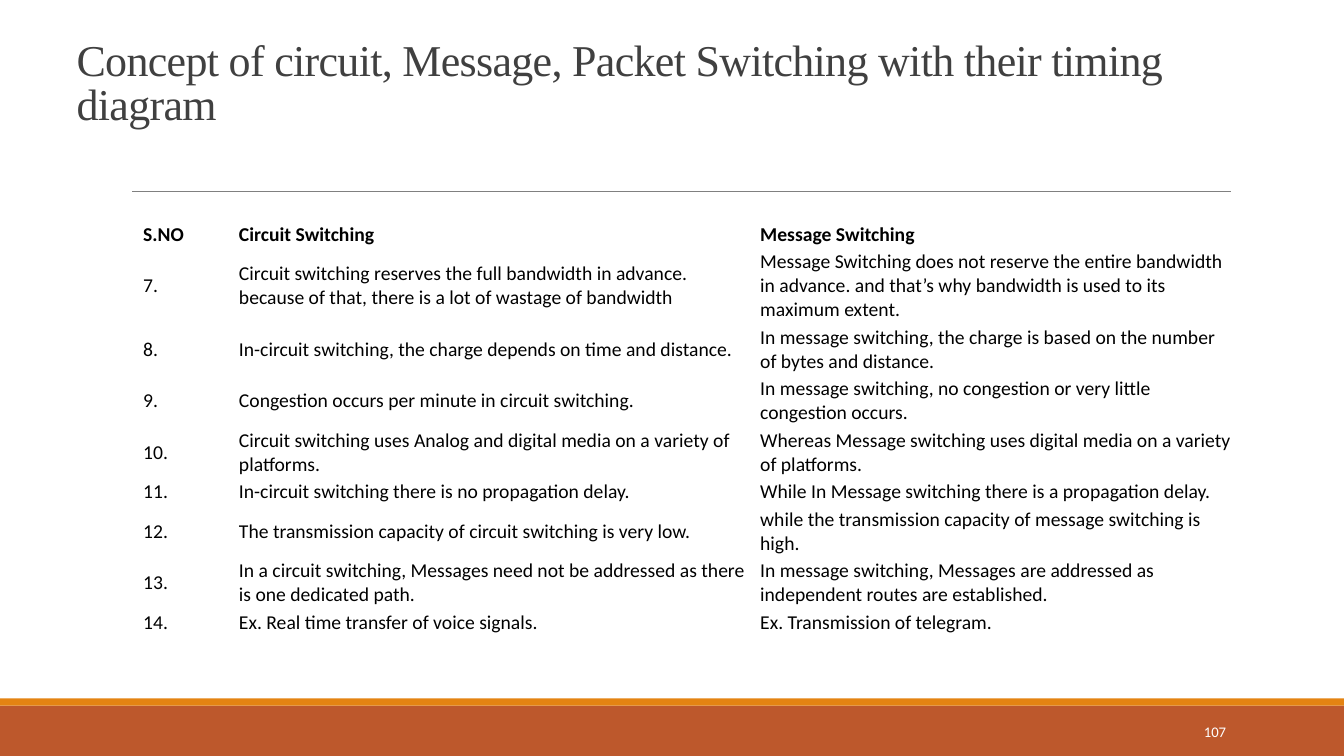
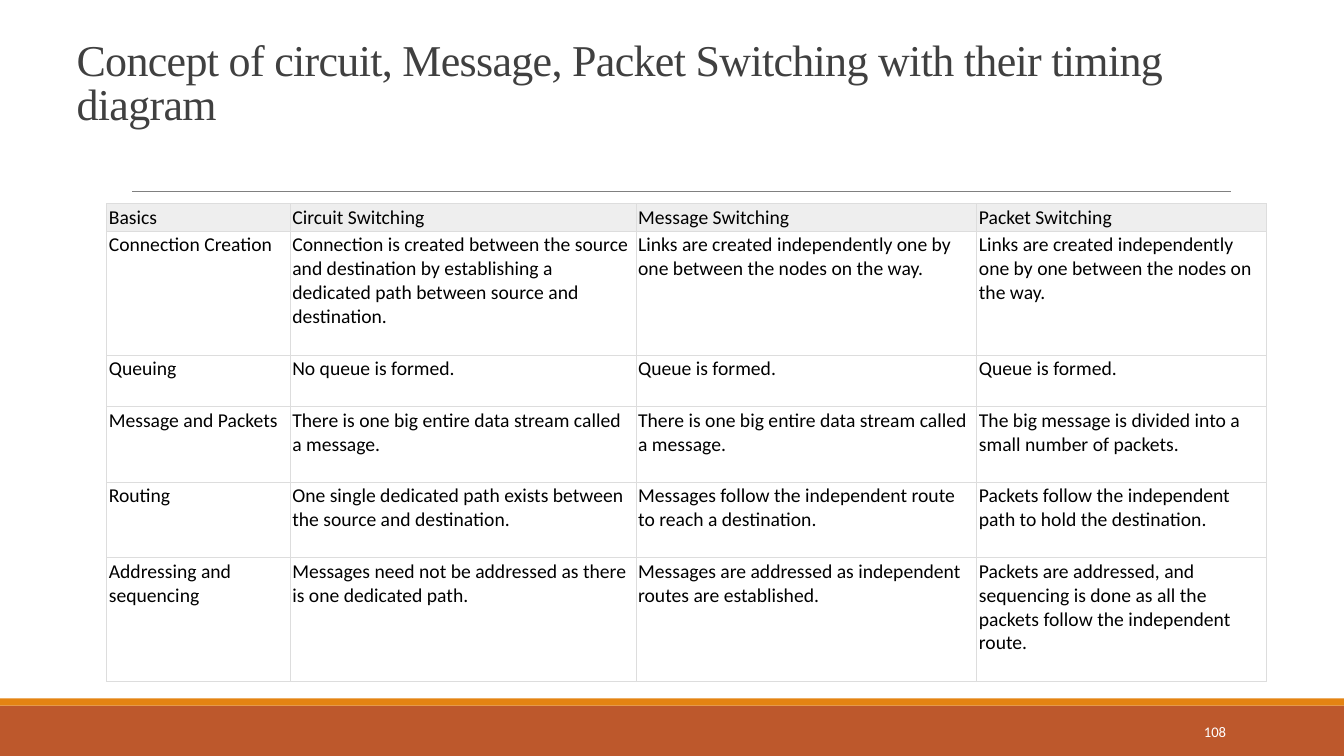
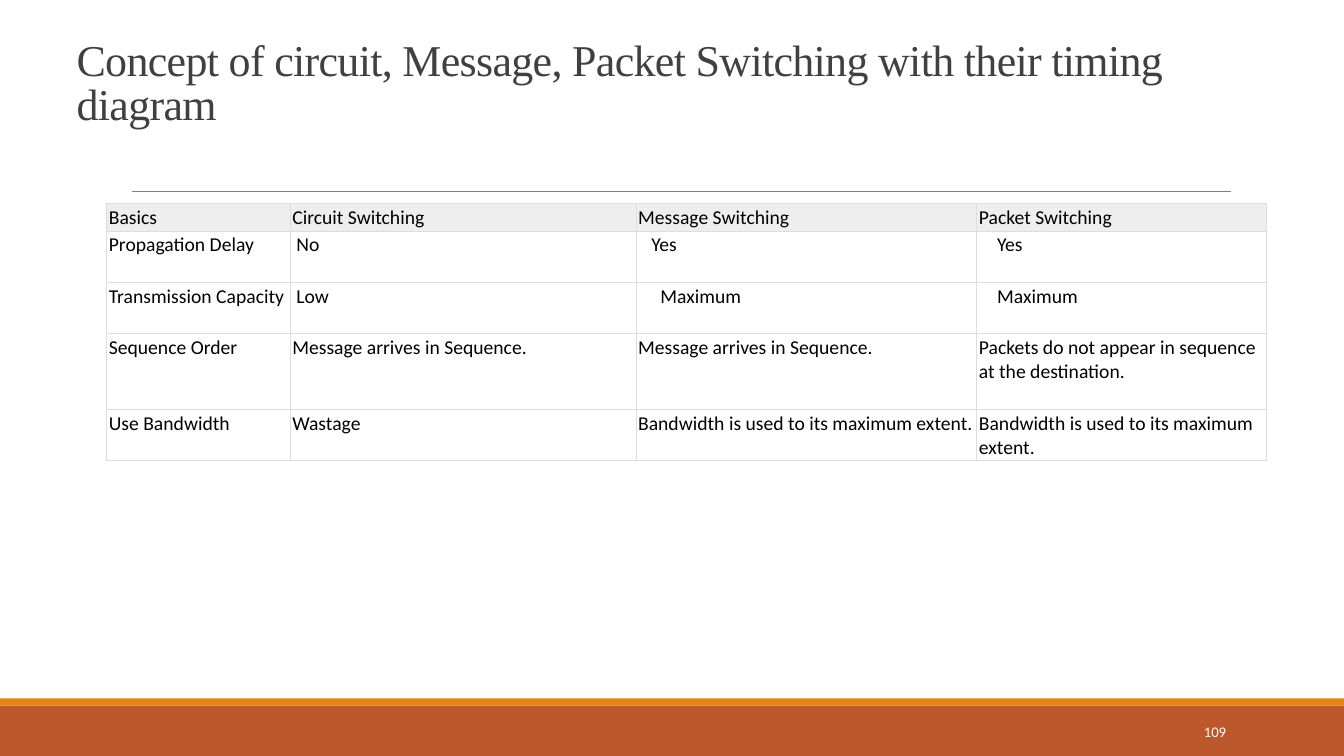
"""Build three slides that compare circuit, message and packet switching."""
from pptx import Presentation
from pptx.dml.color import RGBColor
from pptx.enum import shapes, text
from pptx.oxml import parse_xml
from pptx.oxml.ns import nsdecls, qn
from pptx.util import Inches, Pt

WIDE, HIGH = 13.33, 7.5
RUST, AMBER, GREY, INK = "BD582C", "E48312", "808080", "404040"
BLACK, WHITE, PALE, EDGE = "000000", "FFFFFF", "EEEEEE", "DDDDDD"
SANS, SERIF = "Calibri", "Times New Roman"
TITLE = "Concept of circuit, Message, Packet Switching with their timing diagram"
LINE, GAP = 0.24, 0.03

PAIR = [
    ["S.NO", "Circuit Switching", "Message Switching"],
    ["7.", "Circuit switching reserves the full bandwidth in advance. because of that, "
     "there is a lot of wastage of bandwidth",
     "Message Switching does not reserve the entire bandwidth in advance. and that’s why "
     "bandwidth is used to its maximum extent."],
    ["8.", "In-circuit switching, the charge depends on time and distance.",
     "In message switching, the charge is based on the number of bytes and distance."],
    ["9.", "Congestion occurs per minute in circuit switching.",
     "In message switching, no congestion or very little congestion occurs."],
    ["10.", "Circuit switching uses Analog and digital media on a variety of platforms.",
     "Whereas Message switching uses digital media on a variety of platforms."],
    ["11.", "In-circuit switching there is no propagation delay.",
     "While In Message switching there is a propagation delay."],
    ["12.", "The transmission capacity of circuit switching is very low.",
     "while the transmission capacity of message switching is high."],
    ["13.", "In a circuit switching, Messages need not be addressed as there is one "
     "dedicated path.",
     "In message switching, Messages are addressed as independent routes are established."],
    ["14.", "Ex. Real time transfer of voice signals.", "Ex. Transmission of telegram."],
]
HEAD = ["Basics", "Circuit Switching", "Message Switching", "Packet Switching"]
LINKS = "Links are created independently one by one between the nodes on the way."
STREAM = "There is one big entire data stream called a message."
FULL = "Bandwidth is used to its maximum extent."
ORDER = "Message arrives in Sequence."
SETUP = [
    HEAD,
    ["Connection Creation", "Connection is created between the source and destination by "
     "establishing a dedicated path between source and destination.", LINKS, LINKS],
    ["Queuing", "No queue is formed.", "Queue is formed.", "Queue is formed."],
    ["Message and Packets", STREAM, STREAM,
     "The big message is divided into a small number of packets."],
    ["Routing", "One single dedicated path exists between the source and destination.",
     "Messages follow the independent route to reach a destination.",
     "Packets follow the independent path to hold the destination."],
    ["Addressing and sequencing",
     "Messages need not be addressed as there is one dedicated path.",
     "Messages are addressed as independent routes are established.",
     "Packets are addressed, and sequencing is done as all the packets follow the "
     "independent route."],
]
TRAITS = [
    HEAD,
    ["Propagation Delay", "No", "Yes", "Yes"],
    ["Transmission Capacity", "Low", "Maximum", "Maximum"],
    ["Sequence Order", ORDER, ORDER,
     "Packets do not appear in sequence at the destination."],
    ["Use Bandwidth", "Wastage", FULL, FULL],
]
INDENT = {(1, 1): 0.04, (1, 2): 0.13, (1, 3): 0.18,
          (2, 1): 0.04, (2, 2): 0.22, (2, 3): 0.18}


def tint(code):
    """Turn a hex string into a colour."""
    return RGBColor.from_string(code)


def style(frame, face, size, code, bold=False):
    """Format every run of a text frame."""
    for par in frame.paragraphs:
        for run in par.runs:
            run.font.name, run.font.size, run.font.bold = face, Pt(size), bold
            run.font.color.rgb = tint(code)


def band(slide, top, high, code):
    """Draw a full-width band and return it."""
    bar = slide.shapes.add_shape(shapes.MSO_SHAPE.RECTANGLE, 0, Inches(top),
                                 Inches(WIDE), Inches(high))
    bar.shadow.inherit = False
    bar.fill.solid()
    bar.fill.fore_color.rgb = tint(code)
    bar.line.fill.background()
    return bar


def rule(slide, left, right, top):
    """Draw a thin horizontal line and return it."""
    line = slide.shapes.add_connector(shapes.MSO_CONNECTOR.STRAIGHT, Inches(left),
                                      Inches(top), Inches(right), Inches(top))
    line.line.color.rgb = tint(GREY)
    line.line.width = Pt(0.5)
    line.element.spPr.append(parse_xml(f"<a:effectLst {nsdecls('a')}/>"))
    return line


def dress(layout, slide):
    """Move the shared bands and line from a slide to its layout."""
    for hold in list(layout.placeholders)[1:]:
        hold.element.getparent().remove(hold.element)
    tree = layout.placeholders[0].element.getparent()
    for part in (band(slide, 7, 0.5, RUST), band(slide, 6.93, 0.07, AMBER),
                 rule(slide, 1.31, 12.21, 1.9)):
        tree.append(part.element)


def title(slide):
    """Place and format the title."""
    head = slide.shapes.title
    head.left, head.top, head.width, head.height = map(Inches, (0.66, 0.4, 12.31, 0.94))
    frame = head.text_frame
    frame.text = TITLE
    frame.word_wrap = True
    frame.auto_size = text.MSO_AUTO_SIZE.NONE
    frame.vertical_anchor = text.MSO_ANCHOR.BOTTOM
    par = frame.paragraphs[0]
    par.alignment, par.line_spacing = text.PP_ALIGN.LEFT, 0.85
    style(frame, SERIF, 31.4, INK)
    par.runs[0].font._element.set("spc", "-50")


def folio(slide, page):
    """Write the page number on the lower band."""
    box = slide.shapes.add_textbox(*map(Inches, (10.83, 7.06, 1.43, 0.4)))
    frame = box.text_frame
    frame.text = str(page)
    frame.word_wrap = True
    frame.vertical_anchor = text.MSO_ANCHOR.MIDDLE
    frame.paragraphs[0].alignment = text.PP_ALIGN.RIGHT
    style(frame, SANS, 10.5, WHITE)


def edge(cell):
    """Give a cell four thin borders."""
    props = cell._tc.get_or_add_tcPr()
    for side in "LRTB":
        props.append(parse_xml(
            f'<a:ln{side} {nsdecls("a")} w="{Pt(0.75)}"><a:solidFill>'
            f'<a:srgbClr val="{EDGE}"/></a:solidFill></a:ln{side}>'))


def table(slide, left, top, cols, lines, rows, grid=True, pads=None):
    """Add a table whose row heights follow from their line counts."""
    highs = [LINE * count + GAP for count in lines]
    frame = slide.shapes.add_table(len(rows), len(cols), *map(
        Inches, (left, top, sum(cols), sum(highs))))
    tab = frame.table
    tab.first_row = tab.horz_banding = False
    for col, wide in zip(tab.columns, cols):
        col.width = Inches(wide)
    for row, high in zip(tab.rows, highs):
        row.height = Inches(high)
    inset = 0.02 if grid else 0.03
    for r, row in enumerate(rows):
        for c, words in enumerate(row):
            cell = tab.cell(r, c)
            cell.text_frame.text = words
            cell.margin_left = Inches(inset + (pads or {}).get((r, c), 0))
            cell.margin_right = Inches(inset)
            cell.margin_top = cell.margin_bottom = Inches(0.02)
            cell.vertical_anchor = text.MSO_ANCHOR.TOP if grid else text.MSO_ANCHOR.MIDDLE
            if grid:
                edge(cell)
            cell.fill.solid()
            cell.fill.fore_color.rgb = tint(PALE if grid and r == 0 else WHITE)
            style(cell.text_frame, SANS, 14, BLACK, not grid and r == 0)


def main():
    """Build and save the slides."""
    deck = Presentation()
    deck.slide_width, deck.slide_height = Inches(WIDE), Inches(HIGH)
    layout = deck.slide_layouts[5]
    pages = [deck.slides.add_slide(layout) for _ in range(3)]
    dress(layout, pages[0])
    for page, slide in enumerate(pages, 107):
        title(slide)
        folio(slide, page)
    cols = [1.82, 3.43, 3.38, 2.87]
    table(pages[0], 1.39, 2.19, [0.95, 5.17, 4.75], [1, 3, 2, 2, 2, 1, 2, 2, 1], PAIR,
          grid=False)
    table(pages[1], 1.06, 2.02, cols, [1, 5, 2, 3, 3, 5], SETUP)
    table(pages[2], 1.06, 2.02, cols, [1, 2, 2, 3, 2], TRAITS, pads=INDENT)
    deck.save("out.pptx")


if __name__ == "__main__":
    main()
